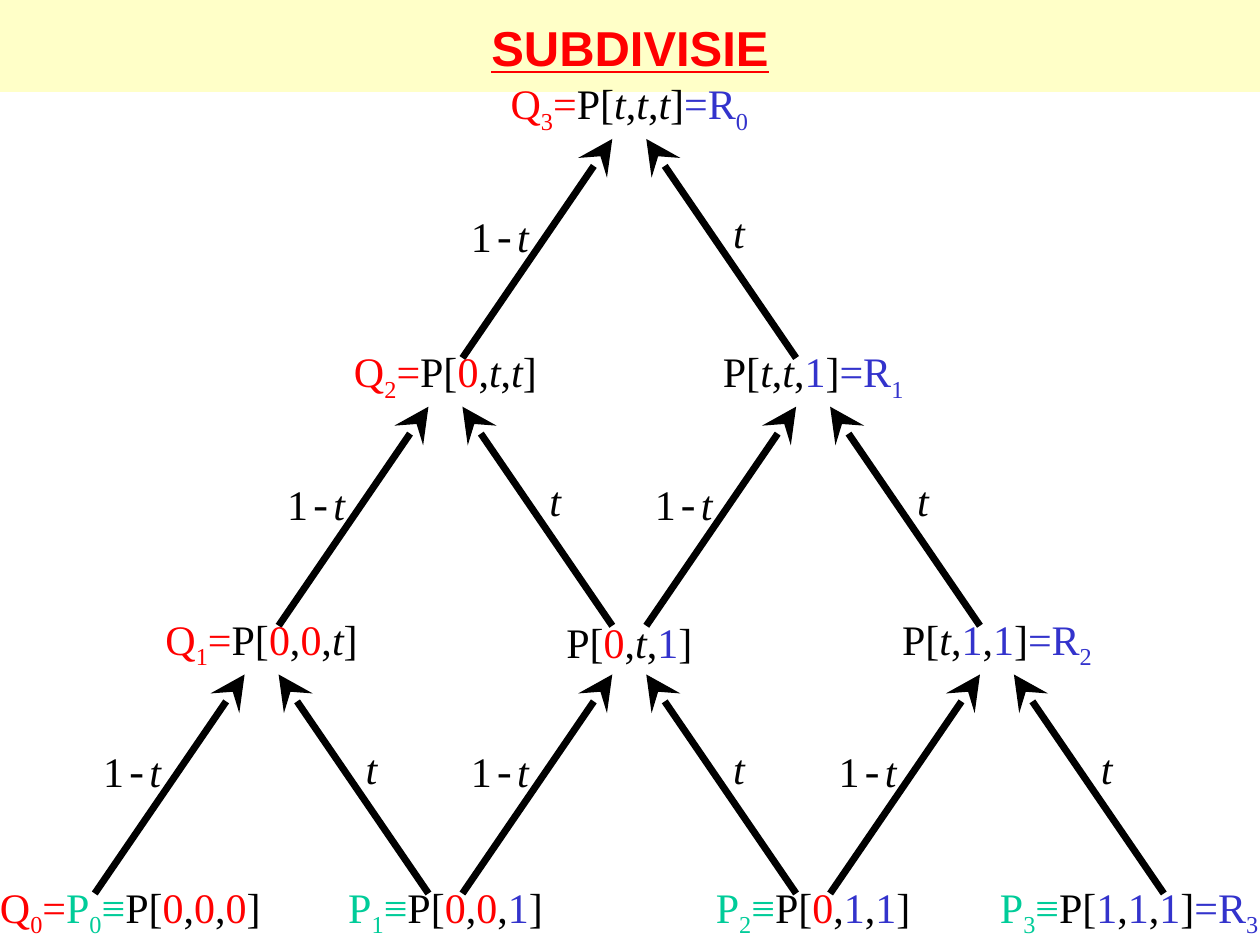
from lxml.etree import SubElement
from pptx import Presentation
from pptx.dml.color import RGBColor
from pptx.enum.shapes import MSO_CONNECTOR, MSO_SHAPE
from pptx.enum.text import MSO_ANCHOR, MSO_AUTO_SIZE, PP_ALIGN
from pptx.oxml.ns import qn
from pptx.util import Pt

RED = RGBColor(0xFF, 0x00, 0x00)
BLUE = RGBColor(0x33, 0x33, 0xCC)
GREEN = RGBColor(0x00, 0xCC, 0x99)
BLACK = RGBColor(0x00, 0x00, 0x00)
CREAM = RGBColor(0xFF, 0xFF, 0xC8)

DEGREE = 3
APEX_X = 359.6
COLUMN_STEP = 210.1
ROW_STEP = 153
FIRST_TIP_Y = 79.4
ARROW_DROP = 125.2
ARROW_GAP = 9.7
LABEL_HEIGHT = 36
POINT_WIDTHS = [[154], [122, 121], [127, 92, 126], [168, 129, 129, 166]]
EDGE_SHIFTS = {(3, 0): 30, (3, 3): -29.5}
ARGUMENT_COLORS = {"0": RED, "t": BLACK, "1": BLUE}


def add_text(paragraph, text, color=BLACK, font="Times New Roman", size=24,
             italic=False, bold=False, underline=False, subscript=False):
    run = paragraph.add_run()
    run.text = text
    run.font.name = font
    run.font.size = Pt(size)
    run.font.color.rgb = color
    run.font.italic = italic
    run.font.bold = bold
    run.font.underline = underline
    if subscript:
        run._r.get_or_add_rPr().set("baseline", "-25000")


def add_label(left, top, width, height=LABEL_HEIGHT, wrap=False):
    label = slide.shapes.add_textbox(Pt(left), Pt(top), Pt(width), Pt(height))
    frame = label.text_frame
    frame.word_wrap = wrap
    frame.auto_size = MSO_AUTO_SIZE.NONE if wrap else MSO_AUTO_SIZE.SHAPE_TO_FIT_TEXT
    frame.vertical_anchor = MSO_ANCHOR.MIDDLE
    frame.paragraphs[0].alignment = PP_ALIGN.CENTER
    return frame.paragraphs[0]


presentation = Presentation()
presentation.slide_width = Pt(720)
presentation.slide_height = Pt(540)
slide = presentation.slides.add_slide(presentation.slide_layouts[6])

title_band = slide.shapes.add_shape(MSO_SHAPE.RECTANGLE, 0, 0, Pt(720), Pt(52.5))
title_band.shadow.inherit = False
title_band.fill.solid()
title_band.fill.fore_color.rgb = CREAM
title_band.line.fill.background()

title = add_label(0, 0, 720, height=54, wrap=True)
add_text(title, "SUBDIVISIE", color=RED, font="Arial", size=28, bold=True, underline=True)

for row, widths in enumerate(POINT_WIDTHS):
    tip_y = FIRST_TIP_Y + row * ROW_STEP
    for column, width in enumerate(widths):
        center = APEX_X + (column - row / 2) * COLUMN_STEP

        point_center = center + EDGE_SHIFTS.get((row, column), 0)
        point = add_label(point_center - width / 2, tip_y - 36.5, width)
        if column == 0:
            add_text(point, "Q", color=RED)
            add_text(point, str(DEGREE - row), color=RED, subscript=True)
            add_text(point, "=", color=RED)
        if row == DEGREE:
            add_text(point, "P", color=GREEN)
            add_text(point, str(column), color=GREEN, subscript=True)
            add_text(point, "≡", color=GREEN)
        add_text(point, "P[")
        arguments = "0" * (row - column) + "t" * (DEGREE - row) + "1" * column
        for position, argument in enumerate(arguments):
            if position:
                add_text(point, ",")
            add_text(point, argument, color=ARGUMENT_COLORS[argument], italic=argument == "t")
        add_text(point, "]")
        if column == row:
            add_text(point, "=R", color=BLUE)
            add_text(point, str(row), color=BLUE, subscript=True)

        if row == DEGREE:
            continue

        for side in (-1, 1):
            arrow = slide.shapes.add_connector(
                MSO_CONNECTOR.STRAIGHT,
                Pt(center + side * (COLUMN_STEP / 2 - ARROW_GAP)), Pt(tip_y + ARROW_DROP),
                Pt(center + side * ARROW_GAP), Pt(tip_y))
            arrow.line.width = Pt(4)
            arrow.line.color.rgb = BLACK
            SubElement(arrow.line._get_or_add_ln(), qn("a:tailEnd"),
                       type="stealth", w="lg", len="lg")
            SubElement(arrow._element.spPr, qn("a:effectLst"))

        left_weight = add_label(center - 98, tip_y + 37.2, 48)
        add_text(left_weight, "1")
        add_text(left_weight, "-", font="Courier New")
        add_text(left_weight, "t", italic=True)

        right_weight = add_label(center + 52.2, tip_y + 35.2, 21)
        add_text(right_weight, "t", italic=True)

presentation.save("out.pptx")
